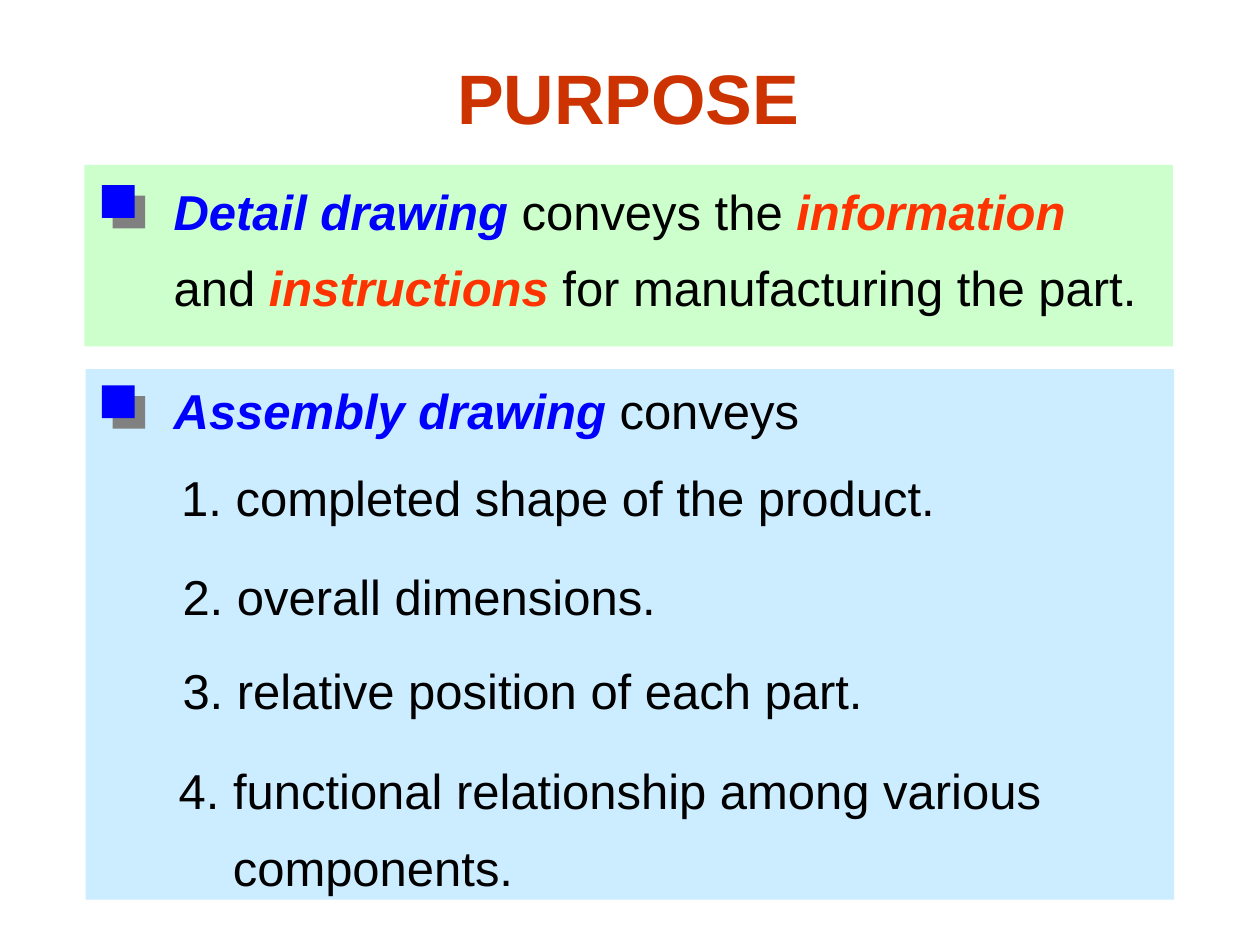
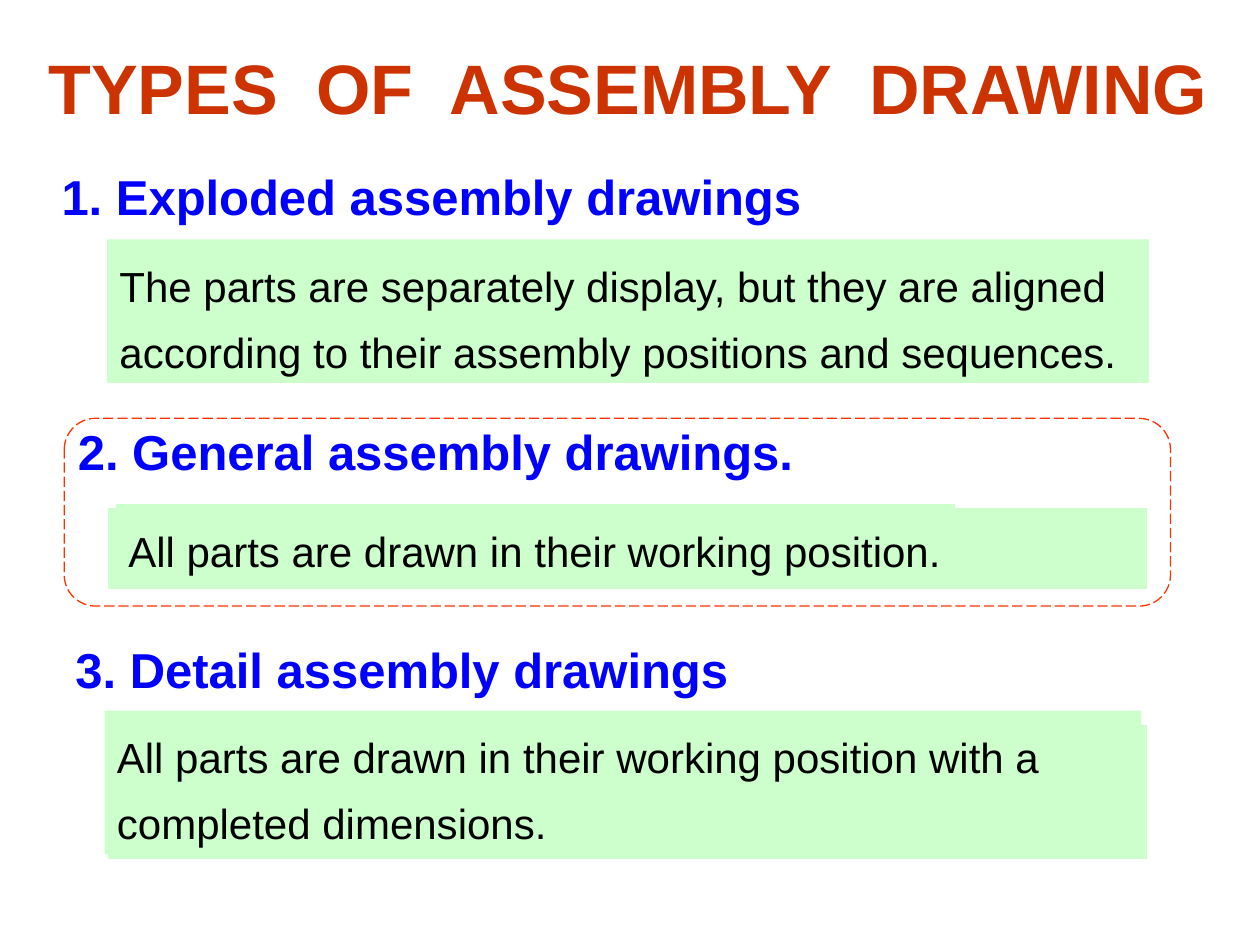
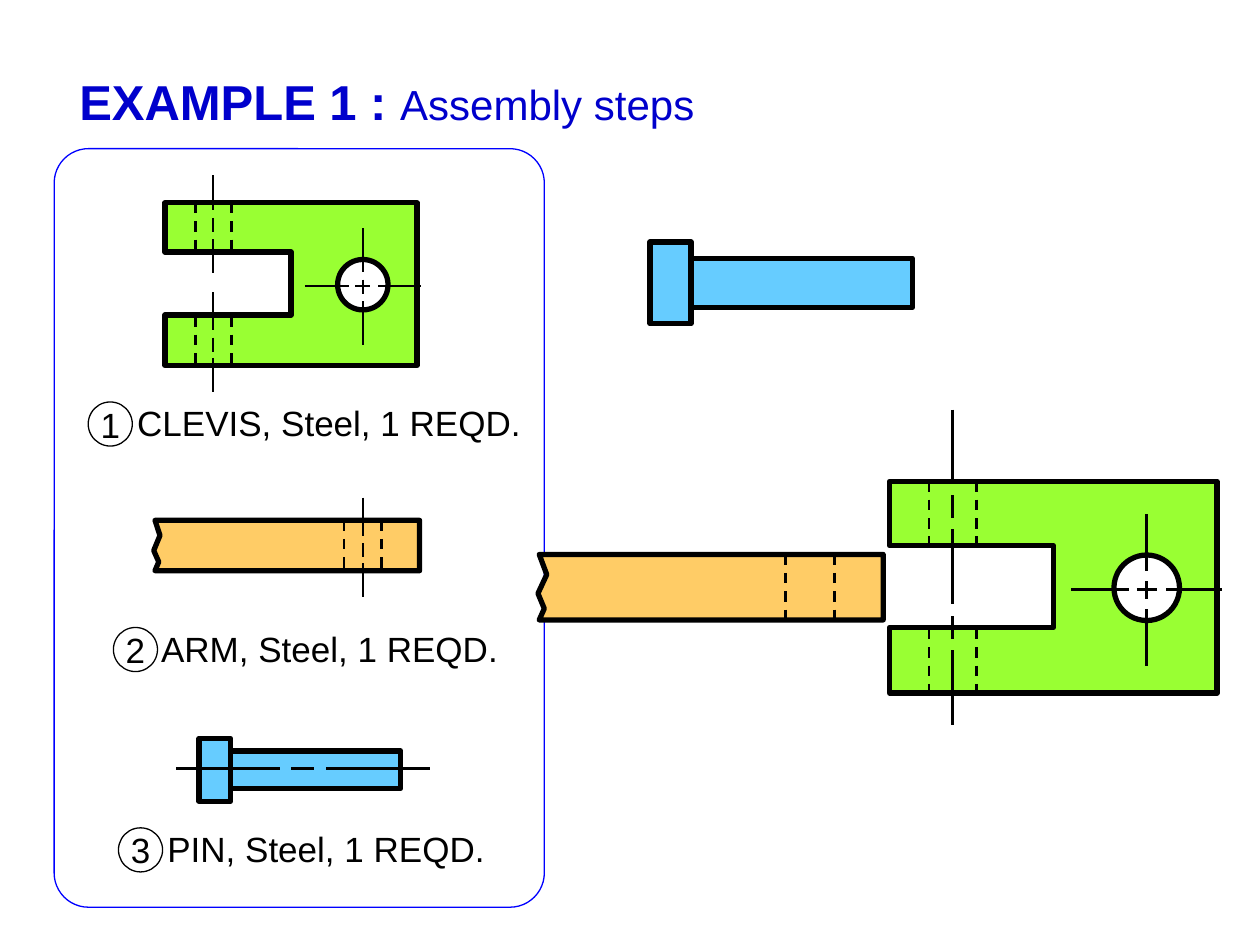
"""Build three slides on the purpose, types and steps of assembly drawings."""
import pptx
import pptx.dml.color
import pptx.enum.dml
import pptx.enum.shapes
import pptx.enum.text
import pptx.oxml.ns
import pptx.util
from lxml import etree

PX = pptx.util.Inches(0.01)
FONT = "Arial"
SHAPE = pptx.enum.shapes.MSO_SHAPE
DASH = pptx.enum.dml.MSO_LINE
LEFT = pptx.enum.text.PP_ALIGN.LEFT
CENTER = pptx.enum.text.PP_ALIGN.CENTER
COLOURS = {
    "title": "CC3300", "example": "0000CC", "blue": "0000FF", "red": "FF3300",
    "black": "000000", "white": "FFFFFF", "shadow": "808080",
    "mint": "CCFFCC", "sky": "CCECFF",
    "clevis": "99FF33", "arm": "FFCC66", "pin": "66CCFF",
}
STYLES = {
    "title": (40, "title", True, False),
    "example": (28, "example", True, False),
    "steps": (24, "example", False, False),
    "heading": (28, "blue", True, False),
    "term": (28, "blue", True, True),
    "key": (28, "red", True, True),
    "body": (28, "black", False, False),
    "note": (24, "black", False, False),
    "label": (20, "black", False, False),
}


def write(box, place, paragraphs, align=LEFT, spacing=1.0, wrap=True):
    """Place a box and fill it with paragraphs of (text, style) runs."""
    box.left, box.top, box.width, box.height = [round(n * PX) for n in place]
    frame = box.text_frame
    frame.word_wrap = wrap
    frame.auto_size = pptx.enum.text.MSO_AUTO_SIZE.NONE
    frame.vertical_anchor = pptx.enum.text.MSO_ANCHOR.TOP
    for index, runs in enumerate(paragraphs):
        para = frame.add_paragraph() if index else frame.paragraphs[0]
        para.alignment = align
        para.line_spacing = spacing
        for text, style in runs:
            span = para.add_run()
            span.text = text
            size, colour, span.font.bold, span.font.italic = STYLES[style]
            span.font.name = FONT
            span.font.size = pptx.util.Pt(size)
            span.font.color.rgb = pptx.dml.color.RGBColor.from_string(COLOURS[colour])


def paint(shape, fill=None, line=None, width=0.75):
    """Give a shape a flat fill and outline; None leaves either out."""
    shape.shadow.inherit = False
    for part, colour in ((shape.fill, fill), (shape.line.fill, line)):
        if colour:
            part.solid()
            part.fore_color.rgb = pptx.dml.color.RGBColor.from_string(COLOURS[colour])
        else:
            part.background()
    if line:
        shape.line.width = pptx.util.Pt(width)
    return shape


deck = pptx.Presentation()
deck.slide_width, deck.slide_height = 1000 * PX, 750 * PX
title_only = deck.slide_layouts[5]

page = deck.slides.add_slide(title_only)
write(page.shapes.title, (193, 38, 611, 77), [[("PURPOSE", "title")]], CENTER)
for left, top, height, fill in ((68, 293, 421, "sky"), (67, 131, 144, "mint")):
    paint(page.shapes.add_shape(SHAPE.RECTANGLE, left * PX, top * PX, 864 * PX, height * PX), fill)

statements = [
    (147, (128, 125, 793, 132), [
        ("Detail drawing", "term"), (" conveys the ", "body"), ("information", "key"),
        (" and ", "body"), ("instructions", "key"), (" for manufacturing the part.", "body")]),
    (306, (128, 283, 822, 71), [("Assembly drawing", "term"), (" conveys", "body")]),
]
for marker_top, place, runs in statements:
    write(page.shapes.add_textbox(0, 0, 0, 0), place, [runs], spacing=1.3)
    marker = paint(page.shapes.add_shape(
        SHAPE.RECTANGLE, 81 * PX, marker_top * PX, 26 * PX, 26 * PX), "blue")
    effects = marker.element.spPr.find(pptx.oxml.ns.qn("a:effectLst"))
    shadow = etree.SubElement(effects, pptx.oxml.ns.qn("a:outerShdw"), dist="107950",
                              dir="2700000", algn="ctr", rotWithShape="0")
    etree.SubElement(shadow, pptx.oxml.ns.qn("a:srgbClr"), val=COLOURS["shadow"])

items = [
    ((134, 366, 647, 57), "1. completed shape of the product.", 1.0),
    ((135, 445, 421, 57), "2. overall dimensions.", 1.0),
    ((135, 519, 612, 57), "3. relative position of each part.", 1.0),
    ((132, 585, 740, 132), "4. functional relationship among various components.", 1.3),
]
for place, text, spacing in items:
    box = page.shapes.add_textbox(0, 0, 0, 0)
    write(box, place, [[(text, "body")]], spacing=spacing)
    properties = box.text_frame.paragraphs[0]._p.get_or_add_pPr()
    properties.set("marL", str(43 * PX))
    properties.set("indent", str(-43 * PX))

page = deck.slides.add_slide(title_only)
write(page.shapes.title, (23, 30, 951, 77),
      [[("TYPES  OF  ASSEMBLY  DRAWING", "title")]], CENTER, wrap=False)
headings = [
    ((39, 127, 610, 57), "1. Exploded assembly drawings"),
    ((52, 330, 657, 57), "2. General assembly drawings."),
    ((50, 503, 638, 57), "3. Detail assembly drawings"),
]
for place, text in headings:
    write(page.shapes.add_textbox(0, 0, 0, 0), place, [[(text, "heading")]])
for top, height in ((403, 65), (575, 107)):
    paint(page.shapes.add_shape(
        SHAPE.RECTANGLE, 85 * PX, top * PX, 826 * PX, height * PX), "mint", "white")
notes = [
    ((85, 190, 827, 114), True, ["The parts are separately display, but they are aligned "
                                 "according to their assembly positions and sequences."]),
    ((92, 400, 666, 62), False, ["All parts are drawn in their working position."]),
    ((83, 564, 823, 114), True, ["All parts are drawn in their working position with a",
                                 "completed dimensions."]),
]
for place, wrap, lines in notes:
    box = paint(page.shapes.add_shape(SHAPE.RECTANGLE, 0, 0, 0, 0), "mint")
    write(box, place, [[(line, "note")] for line in lines], spacing=1.3, wrap=wrap)
highlight = paint(page.shapes.add_shape(
    SHAPE.ROUNDED_RECTANGLE, 51 * PX, 332 * PX, 878 * PX, 149 * PX), None, "red")
highlight.line.dash_style = DASH.LONG_DASH

page = deck.slides.add_slide(title_only)
write(page.shapes.title, (53, 52, 520, 57),
      [[("EXAMPLE 1 : ", "example"), ("Assembly steps", "steps")]])
frame = paint(page.shapes.add_shape(
    SHAPE.ROUNDED_RECTANGLE, 43 * PX, 118 * PX, 389 * PX, 602 * PX), None, "blue")
frame.adjustments[0] = 0.07

clevis_outline = [(0, 0), (200, 0), (200, 129), (0, 129), (0, 89), (100, 89), (100, 39), (0, 39)]
clevis_hidden = [(x, top, x, bottom) for x in (24, 53) for top, bottom in ((0, 40), (90, 129))]
clevis_centre = [(157, top, 157, bottom) for top, bottom in ((20, 55), (61, 72), (78, 113))]
clevis_centre += [(left, 66, right, 66) for left, right in ((111, 146), (151, 163), (169, 203))]
arm_outline = [(1, 0), (211, 0), (211, 40), (1, 40), (4, 33), (0, 24), (5, 12)]
arm_hidden = [(x, 0, x, 40) for x in (151, 181)]
pin_rectangles = [(25, 10, 135, 30), (0, 0, 25, 50)]
plates = [
    (131, 161, 1, "clevis", clevis_outline, clevis_hidden, clevis_centre),
    (122, 413, 1, "arm", arm_outline, arm_hidden, []),
    (706, 382, 1.3, "clevis", clevis_outline, clevis_hidden, clevis_centre),
    (427, 440, 1.3, "arm", arm_outline, arm_hidden, []),
]
strokes = []
for left, top, scale, part, outline, hidden, centre in plates:
    points = [(left + x * scale, top + y * scale) for x, y in outline]
    builder = page.shapes.build_freeform(*points[0], scale=PX)
    builder.add_line_segments(points[1:], close=True)
    paint(builder.convert_to_shape(), part, "black", 3)
    if part == "clevis":
        hole = [round(n * PX) for n in (
            left + 137 * scale, top + 45 * scale, 40 * scale, 40 * scale)]
        paint(page.shapes.add_shape(SHAPE.OVAL, *hole), "white", "black", 3)
    for group, dashed in ((hidden, True), (centre, False)):
        for x1, y1, x2, y2 in group:
            strokes.append((left + x1 * scale, top + y1 * scale,
                            left + x2 * scale, top + y2 * scale, dashed))

for left, top, scale in ((158, 586, 1), (516, 192, 1.3)):
    for x, y, width, height in pin_rectangles:
        place = [round(n * PX) for n in (
            left + x * scale, top + y * scale, width * scale, height * scale)]
        paint(page.shapes.add_shape(SHAPE.RECTANGLE, *place), "pin", "black", 3)

axes = [
    (169, [(139, 167), (173, 184), (190, 217), (232, 262), (268, 279), (284, 311)]),
    (288, [(395, 425), (431, 442), (447, 474)]),
    (756, [(325, 384), (393, 411), (420, 479), (489, 507), (516, 575)]),
]
for x, spans in axes:
    strokes += [(x, start, x, end, False) for start, end in spans]
strokes += [(start, 610, end, 610, False) for start, end in ((140, 222), (231, 249), (259, 341))]
for x1, y1, x2, y2, dashed in strokes:
    stroke = page.shapes.add_connector(
        pptx.enum.shapes.MSO_CONNECTOR.STRAIGHT, *[round(n * PX) for n in (x1, y1, x2, y2)])
    stroke.line.width = pptx.util.Pt(1.5)
    stroke.line.color.rgb = pptx.dml.color.RGBColor.from_string(COLOURS["black"])
    if dashed:
        stroke.line.dash_style = DASH.DASH
    etree.SubElement(stroke.element.spPr, pptx.oxml.ns.qn("a:effectLst"))

labels = [
    ("1", 70, 319, 99, "CLEVIS, Steel, 1 REQD."),
    ("2", 90, 498, 118, "ARM, Steel, 1 REQD."),
    ("3", 94, 657, 123, "PIN, Steel, 1 REQD."),
]
for number, left, top, text_left, text in labels:
    balloon = paint(page.shapes.add_shape(SHAPE.OVAL, 0, 0, 0, 0), None, "black")
    write(balloon, (left, top, 35, 35), [[(number, "label")]], CENTER, wrap=False)
    inner = balloon.text_frame
    inner.margin_left = inner.margin_right = inner.margin_top = inner.margin_bottom = 0
    inner.vertical_anchor = pptx.enum.text.MSO_ANCHOR.MIDDLE
    write(page.shapes.add_textbox(0, 0, 0, 0), (text_left, top - 5, 324, 44),
          [[(text, "label")]], wrap=False)

deck.save("out.pptx")
